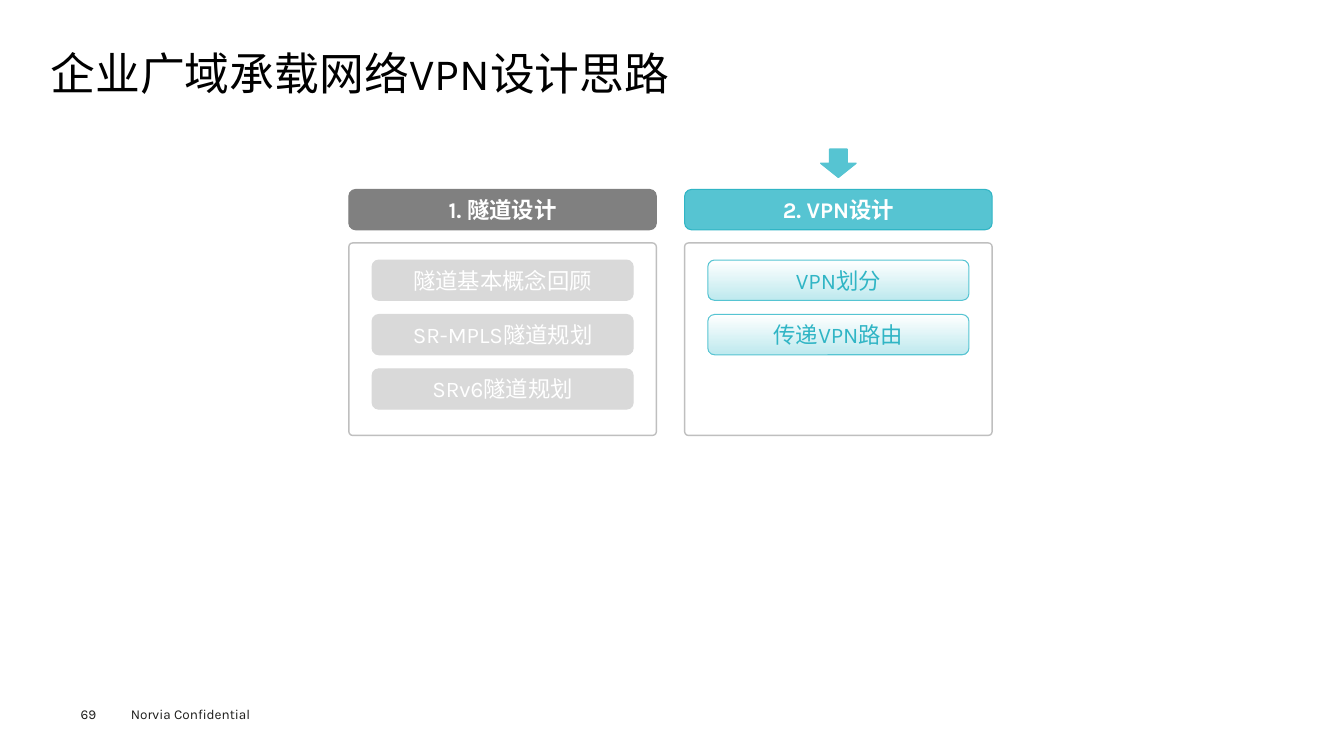
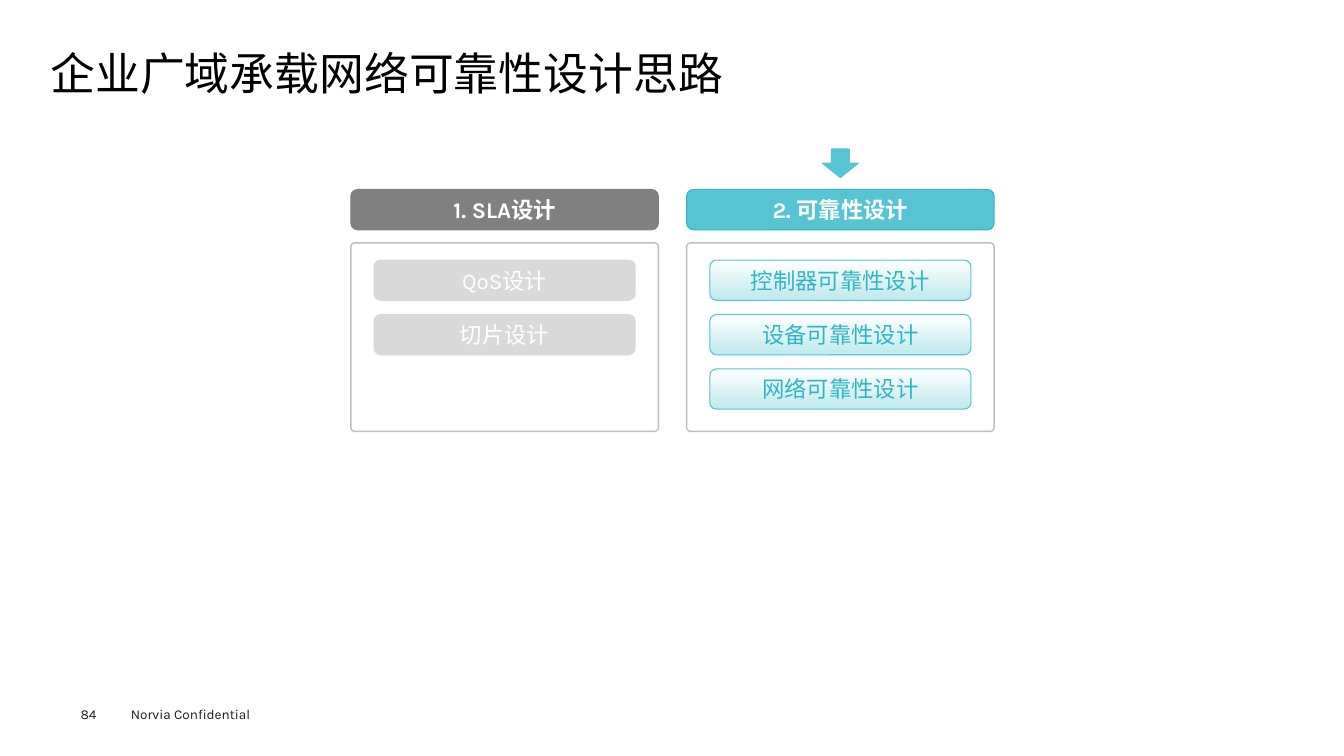
"""Build two slides that outline network design steps."""
import pptx
import pptx.util
import pptx.dml.color
import pptx.enum.shapes
import pptx.enum.text

Inches = pptx.util.Inches
Pt = pptx.util.Pt
SHAPE = pptx.enum.shapes.MSO_SHAPE
ALIGN = pptx.enum.text.PP_ALIGN
ANCHOR = pptx.enum.text.MSO_ANCHOR
FIT = pptx.enum.text.MSO_AUTO_SIZE

HEX = {
    "black": "000000", "ink": "1D1D1B", "white": "FFFFFF",
    "gray": "808080", "pale": "D9D9D9", "edge": "BFBFBF",
    "teal": "56C4D2", "deep": "30B5C5", "mist": "BEE9EE",
}
FONT = "Karla"
OWNER = "Norvia Confidential"
WIDE, TALL, PITCH = 3.05, 0.4, 3.33
STEP_W, STEP_Y, STEP_GAP = 2.59, 2.58, 0.54
ARROW_W = 0.35

PAGES = [
    {"num": "69", "title": "企业广域承载网络VPN设计思路", "left": 3.46, "high": 1.91,
     "parts": [("1. 隧道设计", ["隧道基本概念回顾", "SR-MPLS隧道规划", "SRv6隧道规划"]),
               ("2. VPN设计", ["VPN划分", "传递VPN路由"])]},
    {"num": "84", "title": "企业广域承载网络可靠性设计思路", "left": 3.48, "high": 1.87,
     "parts": [("1. SLA设计", ["QoS设计", "切片设计"]),
               ("2. 可靠性设计", ["控制器可靠性设计", "设备可靠性设计", "网络可靠性设计"])]},
]


def tint(name):
    return pptx.dml.color.RGBColor.from_string(HEX[name])


class Deck:
    def __init__(self):
        self.show = pptx.Presentation()
        self.show.slide_width = Inches(13.33)
        self.show.slide_height = Inches(7.5)
        self.slide = None

    def words(self, frame, text, size, color, bold=False, align=ALIGN.LEFT):
        para = frame.paragraphs[0]
        para.alignment = align
        run = para.add_run()
        run.text = text
        run.font.name = FONT
        run.font.size = Pt(size)
        run.font.bold = bold
        run.font.color.rgb = tint(color)
        return para

    def trim(self, frame):
        frame.margin_left = frame.margin_right = 0
        frame.margin_top = frame.margin_bottom = 0

    def page(self, title, num):
        self.slide = self.show.slides.add_slide(self.show.slide_layouts[5])
        head = self.slide.shapes.title
        head.left, head.top = Inches(0.5), Inches(0.49)
        head.width, head.height = Inches(12.35), Inches(0.53)
        frame = head.text_frame
        frame.auto_size = FIT.NONE
        frame.vertical_anchor = ANCHOR.MIDDLE
        self.trim(frame)
        self.words(frame, title, 32, "black").line_spacing = 0.9
        self.trim(self.note(num, 0.8, 7, 0.55, 0.16))
        self.note(OWNER, 1.2, 6.95, 1.6, 0.27)

    def note(self, text, x, y, w, h):
        box = self.slide.shapes.add_textbox(Inches(x), Inches(y), Inches(w), Inches(h))
        frame = box.text_frame
        frame.word_wrap = True
        self.words(frame, text, 9.7, "ink")
        return frame

    def shape(self, kind, x, y, w, h, fill, line, width):
        item = self.slide.shapes.add_shape(kind, Inches(x), Inches(y), Inches(w), Inches(h))
        item.shadow.inherit = False
        if fill is None:
            item.fill.background()
        elif isinstance(fill, tuple):
            item.fill.gradient()
            item.fill.gradient_angle = 270
            for stop, color in zip(item.fill.gradient_stops, fill):
                stop.color.rgb = tint(color)
        else:
            item.fill.solid()
            item.fill.fore_color.rgb = tint(fill)
        item.line.color.rgb = tint(line)
        item.line.width = Pt(width)
        return item

    def label(self, text, x, y, w, fill, line, color, bold=False):
        item = self.shape(SHAPE.ROUNDED_RECTANGLE, x, y, w, TALL, fill, line, 0.75)
        item.text_frame.vertical_anchor = ANCHOR.MIDDLE
        self.words(item.text_frame, text, 16, color, bold, ALIGN.CENTER)

    def panel(self, x, high, head, steps, live):
        if live:
            bar, step = ("teal", "deep", "white"), (("white", "mist"), "teal", "deep")
            self.shape(SHAPE.DOWN_ARROW, x + (WIDE - ARROW_W) / 2, 1.48,
                       ARROW_W, 0.28, "teal", "teal", 1)
        else:
            bar, step = ("gray", "gray", "white"), ("pale", "pale", "white")
        self.label(head, x, 1.88, WIDE, *bar, bold=True)
        frame = self.shape(SHAPE.ROUNDED_RECTANGLE, x, 2.41, WIDE, high, None, "edge", 1)
        frame.adjustments[0] = 0.02
        for row, text in enumerate(steps):
            self.label(text, x + (WIDE - STEP_W) / 2, STEP_Y + row * STEP_GAP, STEP_W, *step)


def main():
    deck = Deck()
    for page in PAGES:
        deck.page(page["title"], page["num"])
        for col, (head, steps) in enumerate(page["parts"]):
            deck.panel(page["left"] + col * PITCH, page["high"], head, steps, col == 1)
    deck.show.save("out.pptx")


if __name__ == "__main__":
    main()
